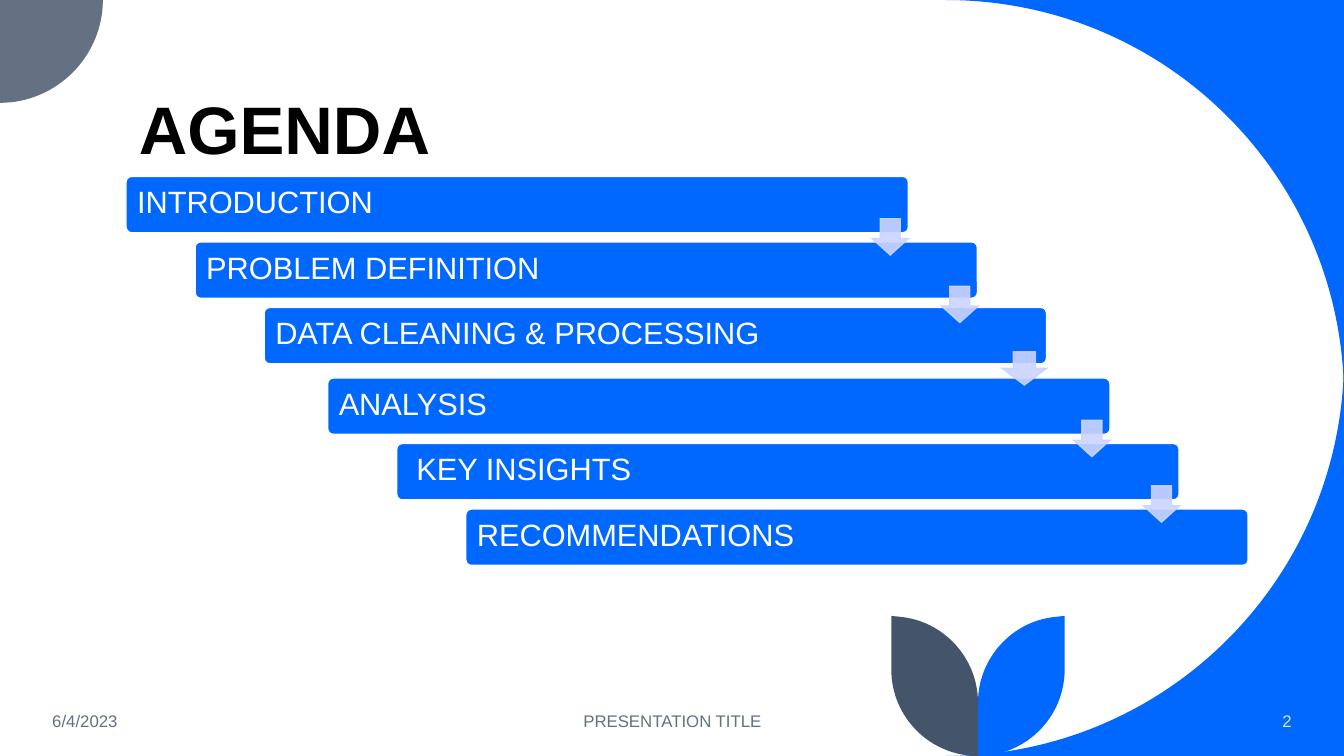
from lxml.etree import SubElement
from pptx import Presentation
from pptx.dml.color import RGBColor
from pptx.enum.shapes import MSO_SHAPE as Shape
from pptx.enum.text import MSO_ANCHOR as Anchor, PP_ALIGN as Align
from pptx.oxml.ns import qn
from pptx.util import Emu, Pt

# Content: lengths in px, 100 px to the inch
AGENDA = [
    ["INTRODUCTION", "PROBLEM DEFINITION", "DATA CLEANING & PROCESSING"],
    ["ANALYSIS", " KEY INSIGHTS", "RECOMMENDATIONS"],
]
ARROWS = [  # group, then left, top, width, height, adjustments
    (0, (865, 217, 36, 36), (0.55, 0.45)),
    (0, (934, 284, 36, 36), (0.55, 0.45)),
    (1, (1065, 417, 36, 36), (0.55, 0.45)),
    (1, (1134, 482, 36, 36), (0.55, 0.45)),
]
LINK_ARROW = ((994, 349, 44, 33), (0.5, 0.5))
TITLE = ("AGENDA", (128, 42, 1069, 131))
FOOTERS = [
    ("6/4/2023", (42, 695, 300, 40), "slate", Align.LEFT),
    ("PRESENTATION TITLE", (442, 695, 450, 40), "slate", Align.CENTER),
    ("2", (1110, 695, 181, 40), "pale", Align.RIGHT),
]

# Outlines: two numbers make a corner, six make a Bezier curve
SWEEP = [(1333, 0), (938, 0), (1157, 0, 1333, 177, 1333, 395)]
QUARTER = [(0, 0), (102, 0), (102, 56, 56, 102, 0, 102)]
LEAF = [(1056, 611), (1056, 664), (1056, 712, 1017, 750, 970, 750),
        (970, 697), (970, 653, 1004, 616, 1047, 612)]

THEME = {
    "font": "Arial",
    "colors": {"blue": "0068FF", "slate": "637183", "navy": "44546A",
               "lilac": "CCD4FF", "pale": "DAE5EF", "white": "FFFFFF",
               "black": "000000"},
    "sizes": {"title": 48, "bar": 22, "footer": 12},
}

PX = 9144
WIDTH, HEIGHT = 1333, 750
STEM = 970
BAR_LEFT, BAR_TOP, BAR_WIDTH, BAR_HEIGHT = 125, 175, 776, 56
STAIR_WIDTH, STAIR_HEIGHT, GROUP_STEP = 137, 130, 200
LABEL_WIDTHS = (716, 668, 668)
LABEL_HEIGHT, LABEL_INSET = 52, 9


def color(name):
    return RGBColor.from_string(THEME["colors"][name])


def px(*lengths):
    return [Emu(round(length * PX)) for length in lengths]


def add_text(shapes, text, box, role, color_name, anchor,
             align=Align.LEFT, spacing=1.0, inset=None):
    frame = shapes.add_textbox(*px(*box)).text_frame
    frame.word_wrap = True
    frame.vertical_anchor = anchor
    if inset:
        for side in ("left", "right", "top", "bottom"):
            setattr(frame, f"margin_{side}", px(inset)[0])
    paragraph = frame.paragraphs[0]
    paragraph.alignment = align
    paragraph.line_spacing = spacing
    run = paragraph.add_run()
    run.text = text
    style = {"name": THEME["font"], "size": Pt(THEME["sizes"][role]),
             "bold": role == "title"}
    for name, value in style.items():
        setattr(run.font, name, value)
    run.font.color.rgb = color(color_name)


def paint(shape, fill, line=None):
    shape.shadow.inherit = False
    shape.fill.solid()
    shape.fill.fore_color.rgb = color(fill)
    if line:
        shape.line.color.rgb = color(line)
        shape.line.width = Pt(1)
    else:
        shape.line.fill.background()


def add_outline(shapes, outline, fill, flip=lambda x, y: (x, y)):
    points = [flip(*part[i:i + 2]) for part in outline for i in range(0, len(part), 2)]
    builder = shapes.build_freeform(*points[0], scale=PX)
    builder.add_line_segments(points[1:], close=True)
    shape = builder.convert_to_shape()
    paint(shape, fill)
    # Merge each run of three segments that belongs to a curve
    segments = iter(list(shape._element.iter(qn("a:lnTo"))))
    for part in outline[1:]:
        first = next(segments)
        if len(part) == 6:
            first.tag = qn("a:cubicBezTo")
            for segment in (next(segments), next(segments)):
                first.append(segment[0])
                segment.getparent().remove(segment)


def add_bar(shapes, text, left, top, label_width):
    bar = shapes.add_shape(Shape.ROUNDED_RECTANGLE,
                           *px(left, top, BAR_WIDTH, BAR_HEIGHT))
    bar.adjustments[0] = 0.1
    paint(bar, "blue", "white")
    add_text(shapes, text, (left + 2, top + 1, label_width, LABEL_HEIGHT), "bar",
             "white", Anchor.MIDDLE, spacing=0.9, inset=LABEL_INSET)


def add_arrow(shapes, box, adjustments):
    arrow = shapes.add_shape(Shape.DOWN_ARROW, *px(*box))
    for index, value in enumerate(adjustments):
        arrow.adjustments[index] = value
    paint(arrow, "lilac", "lilac")
    for node in list(arrow._element.iter(qn("a:srgbClr"))):
        SubElement(node, qn("a:alpha")).set("val", "90000")
    outline = arrow._element.spPr.find(qn("a:ln"))
    SubElement(outline, qn("a:miter")).set("lim", "800000")


def main():
    presentation = Presentation()
    presentation.slide_width, presentation.slide_height = px(WIDTH, HEIGHT)
    slide = presentation.slides.add_slide(presentation.slide_layouts[6])
    shapes = slide.shapes

    # Decoration: right sweep and leaves are mirrored pairs
    add_outline(shapes, SWEEP, "blue")
    add_outline(shapes, SWEEP, "blue", lambda x, y: (x, HEIGHT - y))
    add_outline(shapes, QUARTER, "slate")
    add_outline(shapes, LEAF, "blue")
    add_outline(shapes, LEAF, "navy", lambda x, y: (2 * STEM - x, y))

    # Title and footer
    add_text(shapes, *TITLE, "title", "black", Anchor.BOTTOM, spacing=0.9)
    for text, box, color_name, align in FOOTERS:
        add_text(shapes, text, box, "footer", color_name, Anchor.MIDDLE, align)

    # Agenda staircase: two groups of three bars
    for group, items in enumerate(AGENDA):
        stairs = shapes.add_group_shape().shapes
        shift = group * GROUP_STEP
        for row, (text, label_width) in enumerate(zip(items, LABEL_WIDTHS)):
            part = row / (len(items) - 1)
            add_bar(stairs, text, BAR_LEFT + shift + part * STAIR_WIDTH,
                    BAR_TOP + shift + part * STAIR_HEIGHT, label_width)
        for owner, box, adjustments in ARROWS:
            if owner == group:
                add_arrow(stairs, box, adjustments)
    add_arrow(shapes, *LINK_ARROW)

    presentation.save("out.pptx")


if __name__ == "__main__":
    main()
